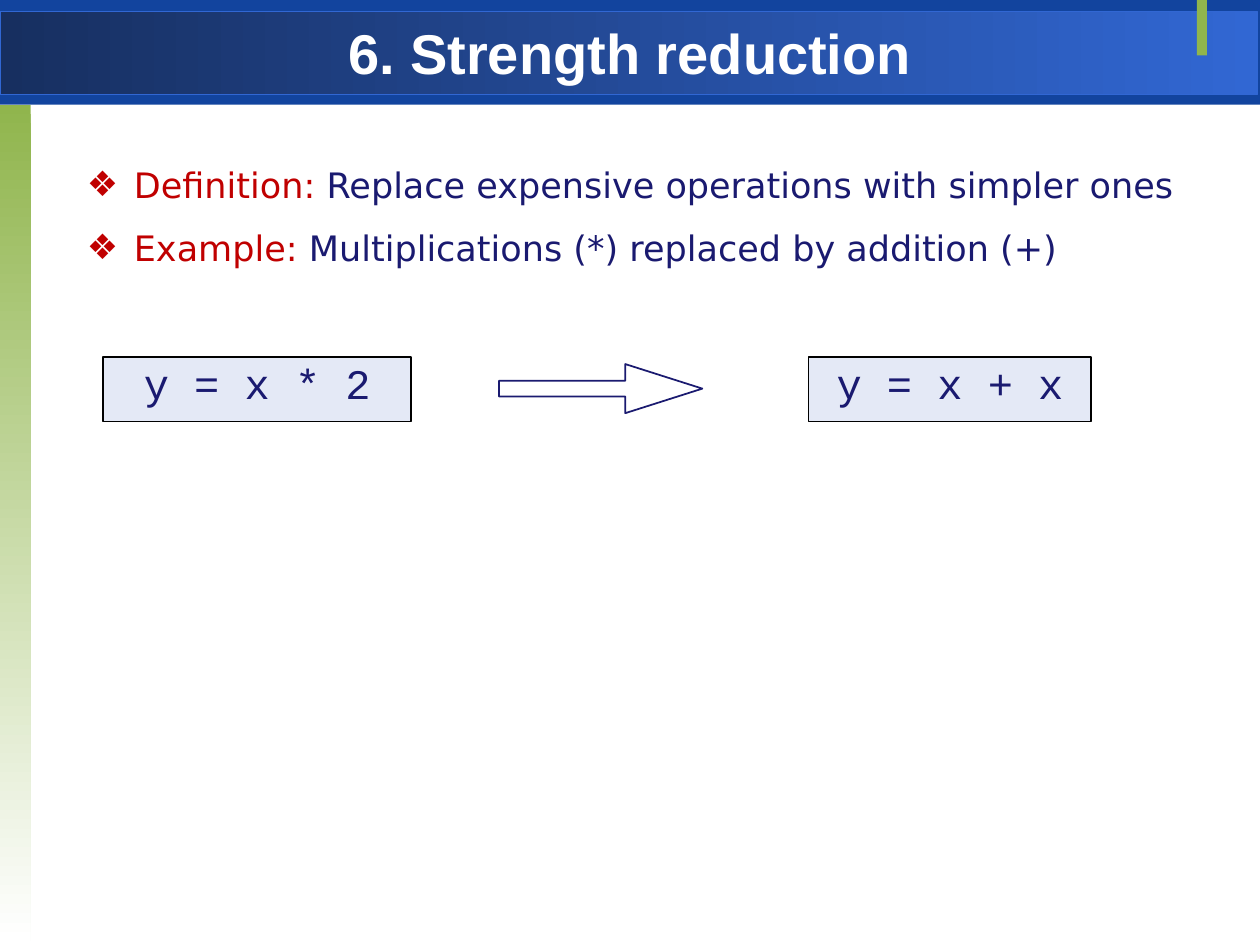
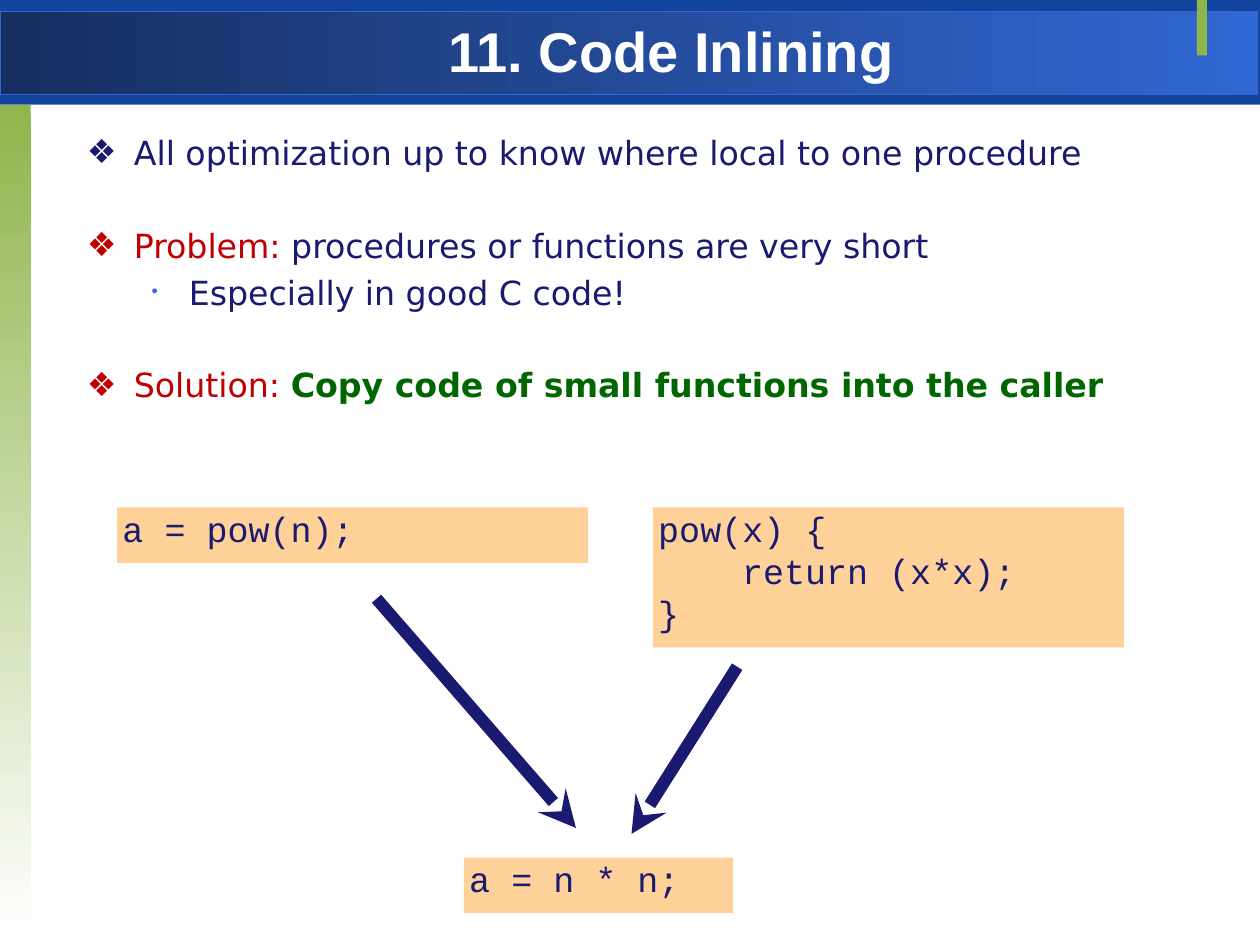
"""Builds two slides on compiler optimizations: strength reduction and code inlining."""
from lxml import etree
from pptx import Presentation
from pptx.dml.color import RGBColor
from pptx.enum.shapes import MSO_CONNECTOR, MSO_SHAPE
from pptx.enum.text import MSO_ANCHOR, PP_ALIGN
from pptx.oxml.ns import qn
from pptx.util import Cm, Pt

RECTANGLE, RIGHT_ARROW = MSO_SHAPE.RECTANGLE, MSO_SHAPE.RIGHT_ARROW
STRAIGHT = MSO_CONNECTOR.STRAIGHT
TOP = MSO_ANCHOR.TOP
LEFT, CENTER = PP_ALIGN.LEFT, PP_ALIGN.CENTER

WHITE = RGBColor(0xFF, 0xFF, 0xFF)
BLACK = RGBColor(0x00, 0x00, 0x00)
BAND_BLUE = RGBColor(0x12, 0x44, 0x9E)
DARK_BLUE = RGBColor(0x17, 0x2F, 0x60)
BRIGHT_BLUE = RGBColor(0x31, 0x67, 0xD3)
LEAF_GREEN = RGBColor(0x90, 0xB5, 0x4D)
NAVY = RGBColor(0x1A, 0x1A, 0x70)
RED = RGBColor(0xC0, 0x00, 0x00)
GREEN = RGBColor(0x00, 0x66, 0x00)
PALE_BLUE = RGBColor(0xE4, 0xE9, 0xF6)
ORANGE = RGBColor(0xFE, 0xD1, 0x98)

TITLE_FONT, BODY_FONT, CODE_FONT = "Arial", "DejaVu Sans", "Courier New"
PAGE_WIDTH, PAGE_HEIGHT = 25.4, 19.05
BAND_HEIGHT = 2.11
CODE_INDENT, CODE_STEP = 0.11, 1.69
DIAMOND = {"bullet": "❖", "margin": 0.95, "hanging": 0.95, "bullet_font": BODY_FONT}
DOT = {"bullet": "•", "margin": 2.06, "hanging": 0.79,
       "bullet_color": BRIGHT_BLUE, "bullet_percent": 50}
LINE_GAP, SECTION_GAP = 3.8, 30.3

PAGES = [
    {
        "title": ("6. Strength reduction", (1.27, 0.3, 22.86, 1.37), 0.08),
        "body_place": (1.5, 2.74, 22.43, 3.2),
        "body_size": 20,
        "body": [
            ([("Definition:", RED), (" Replace expensive operations with simpler ones", NAVY)],
             {**DIAMOND, "line_spacing": 1.5}),
            ([("Example: ", RED), ("Multiplications (*) replaced by addition (+)", NAVY)],
             {**DIAMOND, "line_spacing": 1.5}),
        ],
        "code_style": {"size": 24, "align": CENTER, "fill": PALE_BLUE, "line": BLACK},
        "code": [
            ((2.08, 7.2, 6.2, 1.3), [("y = x * 2", 0)]),
            ((16.3, 7.2, 5.69, 1.3), [("y = x + x", 0)]),
        ],
        "block_arrow": (10.06, 7.34, 4.1, 0.99),
        "arrows": [],
    },
    {
        "title": ("11. Code Inlining", (4.01, 0.2, 19.05, 1.47), 0.13),
        "body_place": (1.5, 2.54, 22.43, 6.78),
        "body_size": 19,
        "body": [
            ([("All optimization up to know where local to one procedure", NAVY)], DIAMOND),
            ([("Problem:", RED), (" procedures or functions are very short", NAVY)],
             {**DIAMOND, "before": SECTION_GAP}),
            ([("Especially in good C code!", NAVY)], {**DOT, "before": LINE_GAP}),
            ([("Solution: ", RED), ("Copy code of small functions into the caller", GREEN, True)],
             {**DIAMOND, "before": SECTION_GAP}),
        ],
        "code_style": {"size": 20, "align": LEFT, "fill": ORANGE, "line": None},
        "code": [
            ((2.36, 10.23, 9.5, 1.12), [("a = pow(n);", 0)]),
            ((13.16, 10.23, 9.5, 2.82), [("pow(x) {", 0), ("return (x*x);", 1), ("}", 0)]),
            ((9.35, 17.29, 5.43, 1.12), [("a = n * n;", 0)]),
        ],
        "block_arrow": None,
        "arrows": [((14.86, 13.44), (12.73, 16.81)), ((7.59, 12.07), (11.61, 16.69))],
    },
]


def lengths(values):
    return [Cm(value) for value in values]


def add_box(page, place, kind=RECTANGLE, fill=None, gradient=None, angle=0,
            line=None, line_width=1):
    box = page.shapes.add_shape(kind, *lengths(place))
    box.shadow.inherit = False
    if gradient:
        box.fill.gradient()
        box.fill.gradient_angle = angle
        for stop, color in zip(box.fill.gradient_stops, gradient):
            stop.color.rgb = color
    elif fill is not None:
        box.fill.solid()
        box.fill.fore_color.rgb = fill
    else:
        box.fill.background()
    if line is not None:
        box.line.color.rgb = line
        box.line.width = Pt(line_width)
    else:
        box.line.fill.background()
    return box


def set_frame(box, insets):
    frame = box.text_frame
    frame.word_wrap = True
    frame.vertical_anchor = TOP
    (frame.margin_left, frame.margin_top,
     frame.margin_right, frame.margin_bottom) = lengths(insets)
    return frame


def write(frame, spans, font, size, align=LEFT, margin=0, hanging=0, before=0,
          line_spacing=None, bullet=None, bullet_color=None, bullet_percent=None,
          bullet_font=None):
    para = frame.paragraphs[0]
    if para.runs:
        para = frame.add_paragraph()
    para.alignment = align
    para.space_before = Pt(before)
    if line_spacing:
        para.line_spacing = line_spacing
    properties = para._p.get_or_add_pPr()
    properties.set("marL", str(Cm(margin)))
    properties.set("indent", str(-Cm(hanging)))
    if bullet_color is not None:
        holder = etree.SubElement(properties, qn("a:buClr"))
        etree.SubElement(holder, qn("a:srgbClr"), val=str(bullet_color))
    if bullet_percent:
        etree.SubElement(properties, qn("a:buSzPct"), val=str(bullet_percent * 1000))
    if bullet_font:
        etree.SubElement(properties, qn("a:buFont"), typeface=bullet_font)
    if bullet:
        etree.SubElement(properties, qn("a:buChar"), char=bullet)
    for text, color, *bold in spans:
        span = para.add_run()
        span.text = text
        span.font.name = font
        span.font.size = Pt(size)
        span.font.color.rgb = color
        span.font.bold = bool(bold)


def add_arrow(page, start, end):
    arrow = page.shapes.add_connector(STRAIGHT, *lengths(start + end))
    arrow.line.color.rgb = NAVY
    arrow.line.width = Pt(7)
    etree.SubElement(arrow.line._get_or_add_ln(), qn("a:tailEnd"), type="stealth")
    etree.SubElement(arrow._element.spPr, qn("a:effectLst"))


def add_background(page):
    add_box(page, (0, 0, PAGE_WIDTH, BAND_HEIGHT), fill=BAND_BLUE)
    add_box(page, (0, 0.23, 25.35, 1.68), gradient=(DARK_BLUE, BRIGHT_BLUE),
            line=BRIGHT_BLUE, line_width=0.75)
    add_box(page, (0, BAND_HEIGHT, 0.62, 16.87), gradient=(LEAF_GREEN, WHITE), angle=270)
    add_box(page, (24.13, 0, 0.2, 1.12), fill=LEAF_GREEN)


def build_page(deck, content):
    page = deck.slides.add_slide(deck.slide_layouts[6])
    add_background(page)

    title, place, top_inset = content["title"]
    box = page.shapes.add_textbox(*lengths(place))
    frame = set_frame(box, (0.25, top_inset, 0.25, 0.13))
    write(frame, [(title, WHITE, True)], TITLE_FONT, 32, align=CENTER)

    box = page.shapes.add_textbox(*lengths(content["body_place"]))
    frame = set_frame(box, (0.25, 0.13, 0.1, 0.13))
    for spans, layout in content["body"]:
        write(frame, spans, BODY_FONT, content["body_size"], **layout)

    style = content["code_style"]
    for place, code_lines in content["code"]:
        box = add_box(page, place, fill=style["fill"], line=style["line"])
        frame = set_frame(box, (0, 0, 0.1, 0))
        for text, level in code_lines:
            write(frame, [(text, NAVY)], CODE_FONT, style["size"], align=style["align"],
                  margin=CODE_INDENT + level * CODE_STEP)

    if content["block_arrow"]:
        arrow = add_box(page, content["block_arrow"], kind=RIGHT_ARROW, line=NAVY)
        arrow.adjustments[0] = 0.32
        arrow.adjustments[1] = 1.57
    for start, end in content["arrows"]:
        add_arrow(page, start, end)


def main():
    deck = Presentation()
    deck.slide_width, deck.slide_height = Cm(PAGE_WIDTH), Cm(PAGE_HEIGHT)
    for content in PAGES:
        build_page(deck, content)
    deck.save("out.pptx")


if __name__ == "__main__":
    main()
